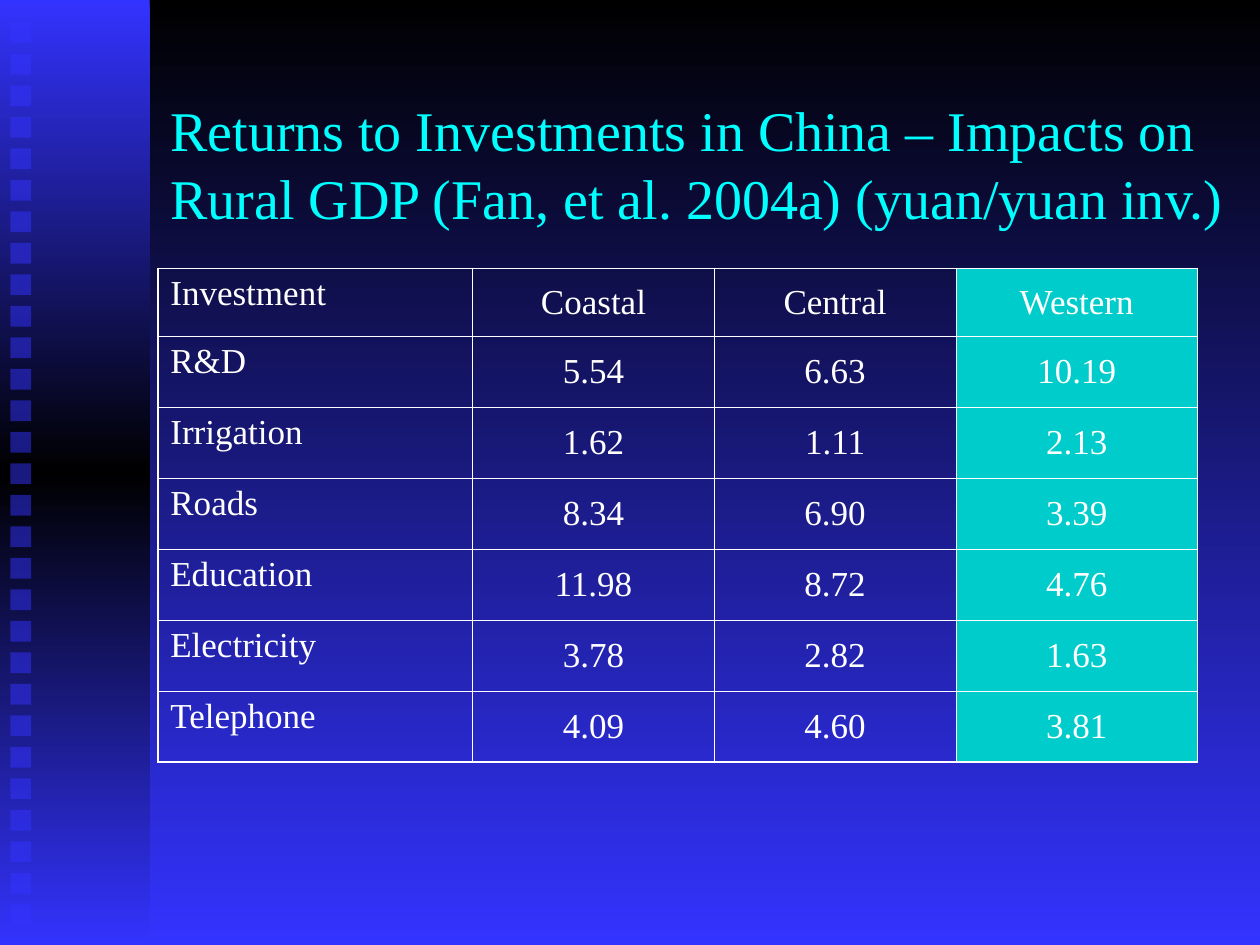
import typing

import lxml.etree
import pptx
import pptx.dml.color
import pptx.enum.shapes
import pptx.enum.text
import pptx.oxml.ns
import pptx.util

Cm = pptx.util.Cm
Pt = pptx.util.Pt
RGB = pptx.dml.color.RGBColor
qn = pptx.oxml.ns.qn

BLACK = RGB(0x00, 0x00, 0x00)
BLUE = RGB(0x33, 0x33, 0xFF)
CYAN = RGB(0x00, 0xFF, 0xFF)
TEAL = RGB(0x00, 0xCC, 0xCC)
WHITE = RGB(0xFF, 0xFF, 0xFF)

FONT = "Times New Roman"
THIN, THICK = 0.45, 1.08
TITLE = ("Returns to Investments in China – Impacts on "
         "Rural GDP (Fan, et al. 2004a) (yuan/yuan inv.)")


class Box(typing.NamedTuple):
    left: float
    top: float
    width: float
    height: float

    def cm(self) -> list:
        return [Cm(side) for side in self]


class Row(typing.NamedTuple):
    label: str
    coast: str
    mid: str
    west: str


ROWS = [
    Row("Investment", "Coastal", "Central", "Western"),
    Row("R&D", "5.54", "6.63", "10.19"),
    Row("Irrigation", "1.62", "1.11", "2.13"),
    Row("Roads", "8.34", "6.90", "3.39"),
    Row("Education", "11.98", "8.72", "4.76"),
    Row("Electricity", "3.78", "2.82", "1.63"),
    Row("Telephone", "4.09", "4.60", "3.81"),
]
WIDTHS = [6.35, 4.87, 4.87, 4.87]
HEIGHTS = [1.37] + [1.43] * (len(ROWS) - 1)

PANEL = Box(0, 0, 3.02, 19.05)
HEAD = Box(3.18, 1.7, 22.22, 3.18)
GRID = Box(3.18, 5.41, sum(WIDTHS), sum(HEIGHTS))
SQUARES, FIRST, LAST, SIDE = 29, 0.45, 18.23, 0.42


def shade(fill, colors: list) -> None:
    """Fill from top to bottom with evenly spaced colours."""
    fill.gradient()
    fill.gradient_angle = 270
    stops = fill.gradient_stops
    stops[0].color.rgb, stops[1].color.rgb = colors[0], colors[-1]
    end = fill._fill._gradFill.find(qn("a:gsLst"))[-1]
    for i, color in enumerate(colors[1:-1], 1):
        stop = lxml.etree.Element(qn("a:gs"), pos=str(100000 * i // (len(colors) - 1)))
        lxml.etree.SubElement(stop, qn("a:srgbClr"), val=str(color))
        end.addprevious(stop)


def add_rect(slide, box: Box):
    rect = slide.shapes.add_shape(pptx.enum.shapes.MSO_SHAPE.RECTANGLE, *box.cm())
    rect.shadow.inherit = False
    rect.line.fill.background()
    return rect


def add_panel(slide) -> None:
    shade(add_rect(slide, PANEL).fill, [BLUE, BLACK, BLUE])
    step = (LAST - FIRST) / (SQUARES - 1)
    for i in range(SQUARES):
        fill = add_rect(slide, Box(0.21, FIRST + i * step, SIDE, SIDE)).fill
        fill.solid()
        fill.fore_color.rgb = BLUE
        color = fill._xPr.find(qn("a:solidFill"))[0]
        lxml.etree.SubElement(color, qn("a:alpha"), val="50000")


def style(par, size: float, color: RGB, align) -> None:
    par.alignment = align
    par.font.name = FONT
    par.font.size = Pt(size)
    par.font.color.rgb = color


def add_title(slide) -> None:
    title = slide.shapes.title
    title.left, title.top, title.width, title.height = HEAD.cm()
    frame = title.text_frame
    frame.text = TITLE
    frame.word_wrap = True
    frame.auto_size = pptx.enum.text.MSO_AUTO_SIZE.NONE
    frame.vertical_anchor = pptx.enum.text.MSO_ANCHOR.MIDDLE
    style(frame.paragraphs[0], 32, CYAN, pptx.enum.text.PP_ALIGN.LEFT)


def add_edge(cell, side: str, width: float) -> None:
    edge = lxml.etree.SubElement(cell._tc.get_or_add_tcPr(), qn(f"a:ln{side}"),
                                 w=str(Pt(width)))
    fill = lxml.etree.SubElement(edge, qn("a:solidFill"))
    lxml.etree.SubElement(fill, qn("a:srgbClr"), val=str(WHITE))


def fill_cell(cell, text: str, r: int, c: int) -> None:
    last = len(WIDTHS) - 1
    outer = {"L": c == 0, "R": c == last, "T": r == 0, "B": r == len(ROWS) - 1}
    for side, thick in outer.items():
        add_edge(cell, side, THICK if thick else THIN)
    if c == last:
        cell.fill.solid()
        cell.fill.fore_color.rgb = TEAL
    else:
        cell.fill.background()
    cell.text = text
    align = pptx.enum.text.PP_ALIGN.LEFT
    if c > 0:
        align = pptx.enum.text.PP_ALIGN.CENTER
        cell.vertical_anchor = pptx.enum.text.MSO_ANCHOR.MIDDLE
    style(cell.text_frame.paragraphs[0], 20, WHITE, align)


def add_grid(slide) -> None:
    table = slide.shapes.add_table(len(ROWS), len(WIDTHS), *GRID.cm()).table
    table.first_row = table.horz_banding = False
    for col, width in zip(table.columns, WIDTHS):
        col.width = Cm(width)
    for r, row in enumerate(ROWS):
        table.rows[r].height = Cm(HEIGHTS[r])
        for c, text in enumerate(row):
            fill_cell(table.cell(r, c), text, r, c)


def main() -> None:
    deck = pptx.Presentation()
    deck.slide_width, deck.slide_height = Cm(25.4), Cm(19.05)
    slide = deck.slides.add_slide(deck.slide_layouts[5])
    shade(slide.background.fill, [BLACK, BLUE])
    add_panel(slide)
    add_title(slide)
    add_grid(slide)
    deck.save("out.pptx")


if __name__ == "__main__":
    main()
